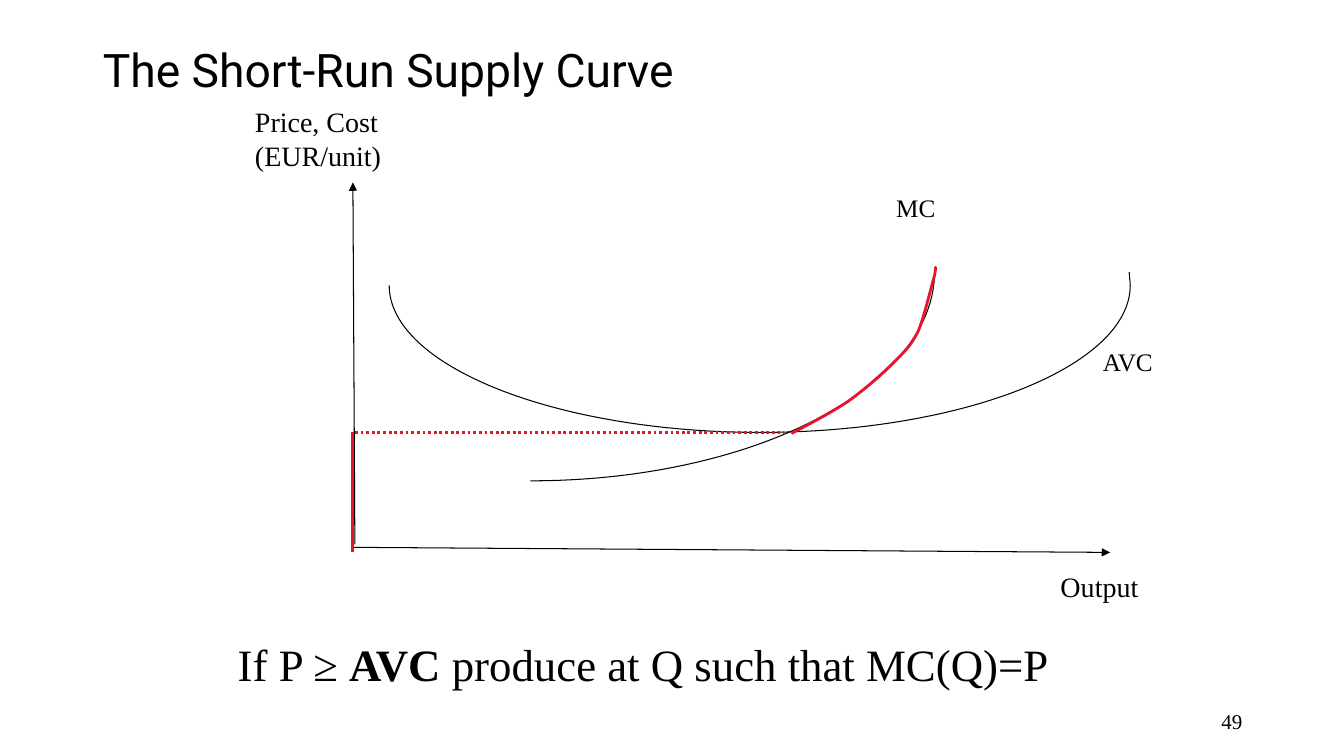
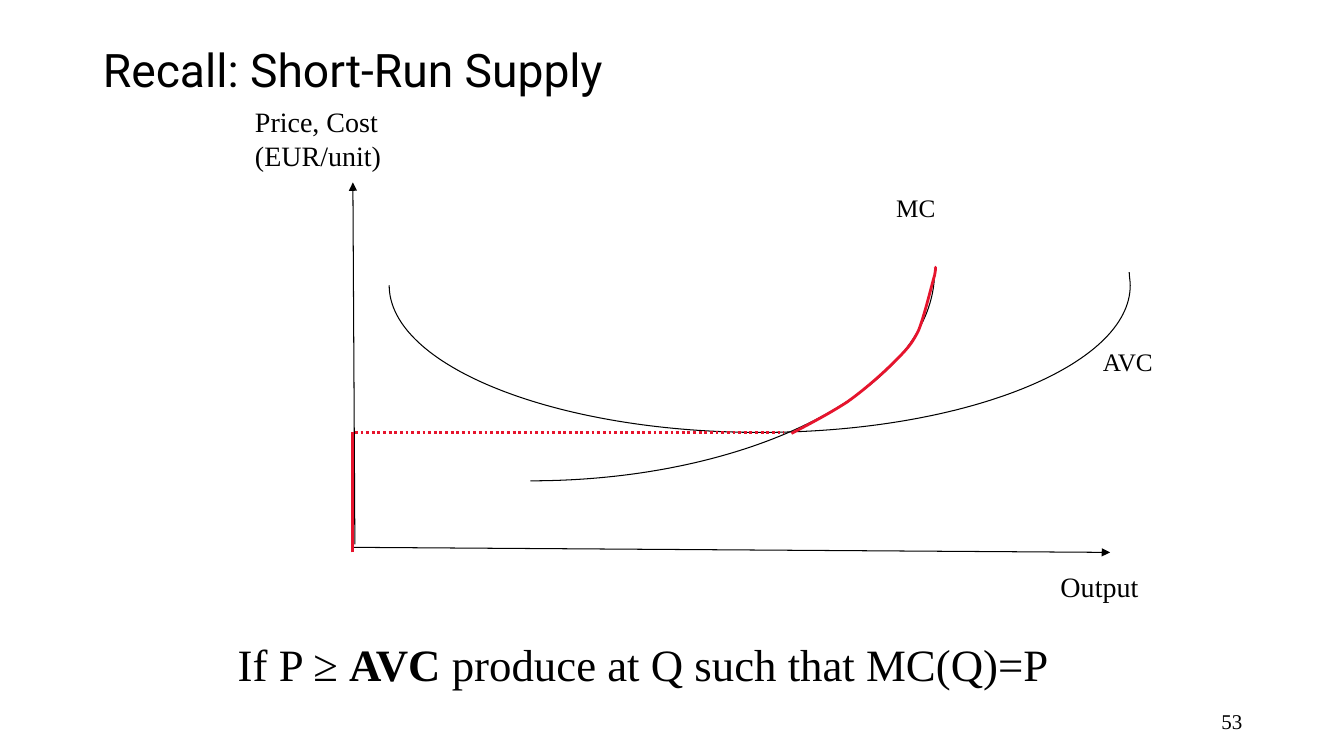
from lxml.etree import SubElement
from pptx import Presentation
from pptx.dml.color import RGBColor
from pptx.enum.dml import MSO_LINE
from pptx.enum.shapes import MSO_CONNECTOR
from pptx.enum.text import MSO_ANCHOR as Anchor, MSO_AUTO_SIZE as AutoSize, PP_ALIGN as Align
from pptx.oxml.ns import qn
from pptx.util import Inches, Pt

SLIDES = [("The Short-Run Supply Curve", "49"), ("Recall: Short-Run Supply", "53")]

BLACK, RED = "000000", "E6142D"
THIN, THICK = (BLACK, 0.75), (RED, 2)
SERIF = "Times New Roman"
TITLE_BOX = (0.92, -0.01, 11.5, 1.45)
NUMBER_BOX = (10.17, 6.95, 2.25, 0.4)

LABELS = [
    (["Output"], (10.42, 5.6, 0.97, 0.43), 20),
    (["Price, Cost", "(EUR/unit)"], (2.43, 0.99, 1.48, 0.77), 20),
    (["MC"], (8.79, 1.86, 0.59, 0.4), 18),
    (["AVC"], (10.84, 3.39, 0.76, 0.4), 18),
]
RULE = [("If P ≥ ", False), ("AVC", True), (" produce at Q such that MC(Q)=P", False)]
RULE_BOX = (2.26, 6.27, 8.43, 0.63)

AXES = [((3.52, 5.4), (3.5, 1.81)), ((3.5, 5.43), (11.01, 5.48))]
NO_SUPPLY = ((3.5, 5.48), (3.5, 4.29))
SHUTDOWN_PRICE = ((3.52, 4.29), (7.77, 4.29))

MARGINAL_COST = [(5.26, 4.77), (7.47, 4.77), (9.27, 3.84), (9.27, 2.69)]
AVERAGE_COST = [
    (11.2, 2.7), (11.2, 2.74), (11.21, 2.79), (11.21, 2.83),
    (11.21, 3.63), (9.56, 4.29), (7.54, 4.29),
    (5.51, 4.29), (3.86, 3.63), (3.86, 2.83),
]
SUPPLY = [
    (7.85, 4.3), (8.04, 4.2), (8.23, 4.1), (8.4, 3.99),
    (8.57, 3.87), (8.75, 3.71), (8.87, 3.59),
    (8.99, 3.47), (9.04, 3.42), (9.11, 3.28),
    (9.17, 3.13), (9.24, 2.83), (9.27, 2.73),
    (9.29, 2.62), (9.27, 2.66), (9.27, 2.65),
]


def color(hex_code):
    """Turn a hex string into a colour."""
    return RGBColor.from_string(hex_code)


def set_font(font, size, name=SERIF, bold=False):
    """Apply the black text style."""
    for key, setting in {"size": Pt(size), "name": name, "bold": bold}.items():
        setattr(font, key, setting)
    font.color.rgb = color(BLACK)


def set_line(line, stroke):
    """Apply a colour and a width in points."""
    line.color.rgb = color(stroke[0])
    line.width = Pt(stroke[1])


def add_text(slide, paragraphs, box, size, wrap=True, align=Align.LEFT, anchor=Anchor.TOP):
    """Add a text box from paragraphs of (text, bold) runs."""
    frame = slide.shapes.add_textbox(*map(Inches, box)).text_frame
    frame.word_wrap = wrap
    frame.vertical_anchor = anchor
    for index, runs in enumerate(paragraphs):
        paragraph = frame.add_paragraph() if index else frame.paragraphs[0]
        paragraph.alignment = align
        for text, bold in runs:
            run = paragraph.add_run()
            run.text = text
            set_font(run.font, size, bold=bold)


def add_line(slide, ends, stroke, dash=None, arrow=False):
    """Draw a straight line, dashed or with an arrowhead if asked."""
    start, end = ends
    connector = slide.shapes.add_connector(
        MSO_CONNECTOR.STRAIGHT, *map(Inches, start + end))
    set_line(connector.line, stroke)
    if dash:
        connector.line.dash_style = dash
    properties = connector.element.spPr
    if arrow:
        SubElement(properties.find(qn("a:ln")), qn("a:tailEnd"), type="triangle")
    SubElement(properties, qn("a:effectLst"))


def add_curve(slide, controls, stroke):
    """Draw an open chain of cubic curves that share end points."""
    points = [(Inches(x), Inches(y)) for x, y in controls]
    builder = slide.shapes.build_freeform(*points[0])
    builder.add_line_segments(points[1:], close=False)
    curve = builder.convert_to_shape()
    outline = next(curve.element.iter(qn("a:path")))
    segments = outline.findall(qn("a:lnTo"))
    for first in range(0, len(segments), 3):
        cubic = SubElement(outline, qn("a:cubicBezTo"))
        for segment in segments[first:first + 3]:
            cubic.append(segment[0])
            outline.remove(segment)
    curve.fill.background()
    set_line(curve.line, stroke)
    curve.shadow.inherit = False


def set_title(slide, text):
    """Place and format the title placeholder."""
    title = slide.shapes.title
    for key, length in zip(("left", "top", "width", "height"), TITLE_BOX):
        setattr(title, key, Inches(length))
    frame = title.text_frame
    frame.text = text
    frame.auto_size = AutoSize.NONE
    frame.vertical_anchor = Anchor.MIDDLE
    heading = frame.paragraphs[0]
    heading.alignment = Align.LEFT
    heading.line_spacing = 0.9
    set_font(heading.runs[0].font, 33, "Roboto")


def add_supply_slide(deck, title, number):
    """Build one slide with the short-run supply diagram."""
    slide = deck.slides.add_slide(deck.slide_layouts[5])
    set_title(slide, title)
    add_text(slide, [[(number, False)]], NUMBER_BOX, 15,
             align=Align.RIGHT, anchor=Anchor.MIDDLE)
    for axis in AXES:
        add_line(slide, axis, THIN, arrow=True)
    for lines, box, size in LABELS:
        add_text(slide, [[(line, False)] for line in lines], box, size, wrap=False)
    for cost in (MARGINAL_COST, AVERAGE_COST):
        add_curve(slide, cost, THIN)
    add_text(slide, [RULE], RULE_BOX, 32)
    add_line(slide, NO_SUPPLY, THICK)
    add_line(slide, SHUTDOWN_PRICE, THICK, dash=MSO_LINE.ROUND_DOT)
    add_curve(slide, SUPPLY, THICK)


def main():
    """Build and save the deck."""
    deck = Presentation()
    deck.slide_width, deck.slide_height = Inches(13.33), Inches(7.5)
    for title, number in SLIDES:
        add_supply_slide(deck, title, number)
    deck.save("out.pptx")


if __name__ == "__main__":
    main()
